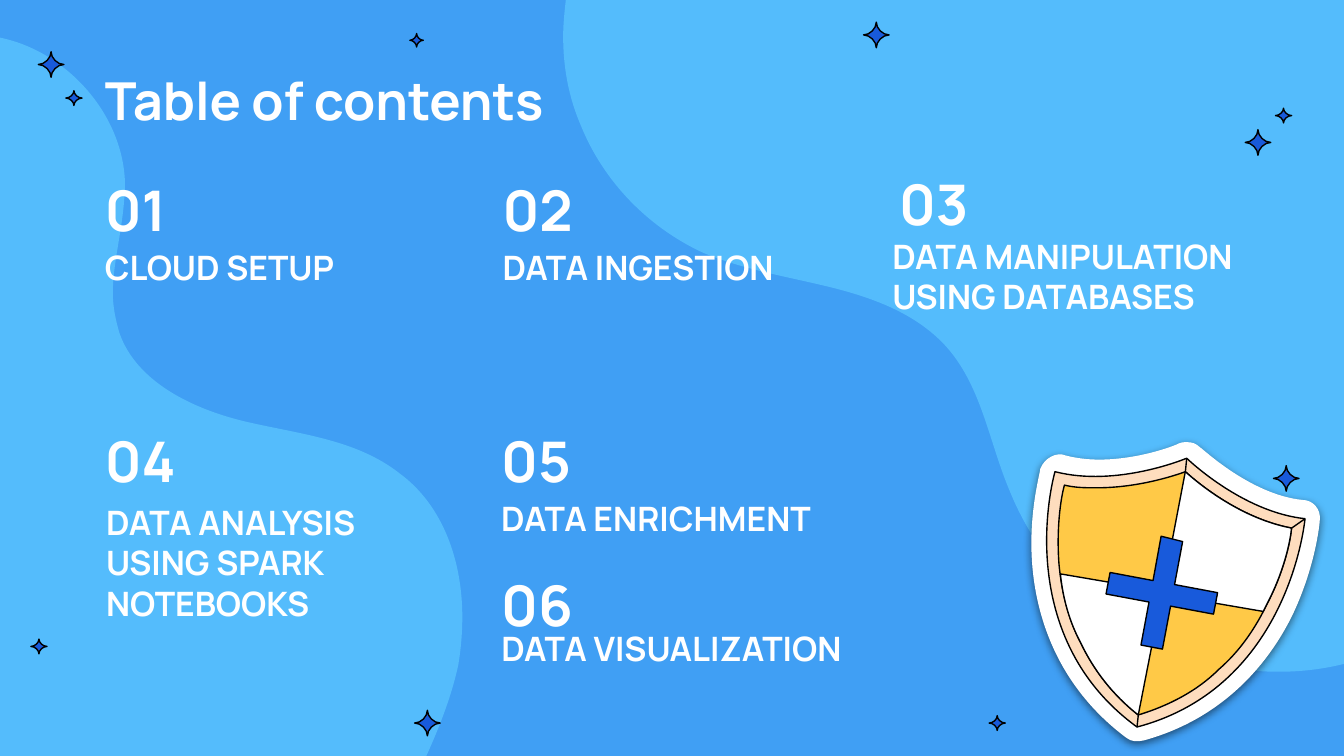
from lxml import etree
from pptx import Presentation
from pptx.dml.color import RGBColor
from pptx.enum.shapes import MSO_CONNECTOR
from pptx.enum.text import MSO_ANCHOR
from pptx.oxml.ns import qn
from pptx.util import Inches, Pt

TOP, MIDDLE = MSO_ANCHOR.TOP, MSO_ANCHOR.MIDDLE
STRAIGHT = MSO_CONNECTOR.STRAIGHT
FONT = "Manrope"
COLORS = {
    "back": "409FF4", "wave": "54BCFC", "blue": "185ADB", "rim": "FEDDBE",
    "gold": "FFC947", "white": "FFFFFF", "black": "000000",
}
RGB = {name: RGBColor.from_string(code) for name, code in COLORS.items()}

prs = Presentation()
prs.slide_width, prs.slide_height = Inches(10), Inches(5.625)
slide = prs.slides.add_slide(prs.slide_layouts[6])
slide.background.fill.solid()
slide.background.fill.fore_color.rgb = RGB["back"]


def add_path(start, parts, fill, edge=True):
    """Draw a closed outline; a part is a line end (2) or a Bezier curve (6)."""
    dots = [(Inches(p[i]), Inches(p[i + 1])) for p in parts for i in range(0, len(p), 2)]
    pen = slide.shapes.build_freeform(Inches(start[0]), Inches(start[1]))
    pen.add_line_segments(dots, close=True)
    shape = pen.convert_to_shape()
    # Join the three points of each curve into one Bezier segment
    lines = iter(list(shape.element.iter(qn("a:lnTo"))))
    for part in parts:
        group = [next(lines) for _ in range(len(part) // 2)]
        if len(group) == 3:
            curve = etree.Element(qn("a:cubicBezTo"))
            group[0].addprevious(curve)
            for line in group:
                curve.append(line[0])
                line.getparent().remove(line)
    shape.shadow.inherit = False
    shape.fill.solid()
    shape.fill.fore_color.rgb = RGB[fill]
    if edge:
        shape.line.color.rgb = RGB["black"]
        shape.line.width = Pt(0.75)
    else:
        shape.line.fill.background()
    return shape


def add_text(text, x, y, w, h, size, anchor=MIDDLE):
    frame = slide.shapes.add_textbox(Inches(x), Inches(y), Inches(w), Inches(h)).text_frame
    frame.margin_left = frame.margin_right = frame.margin_top = frame.margin_bottom = 0
    frame.word_wrap = True
    frame.vertical_anchor = anchor
    frame.text = text
    font = frame.paragraphs[0].runs[0].font
    font.name, font.size, font.bold = FONT, Pt(size), True
    font.color.rgb = RGB["white"]


# Background waves
add_path((10, 4.94), [
    (9.56, 5.05, 9.08, 5, 8.67, 4.83), (8.15, 4.61, 7.73, 4.18, 7.52, 3.67),
    (7.36, 3.3, 7.31, 2.89, 7.05, 2.59), (6.83, 2.34, 6.51, 2.22, 6.19, 2.14),
    (5.87, 2.06, 5.54, 2.01, 5.23, 1.88), (4.82, 1.69, 4.49, 1.35, 4.32, 0.93),
    (4.23, 0.72, 4.19, 0.5, 4.19, 0.27), (4.19, 0.18, 4.2, 0.09, 4.21, 0),
    (10, 0)], "wave", False)
add_path((3.44, 4.59), [
    (3.44, 4.71, 3.43, 4.83, 3.41, 4.95), (3.36, 5.18, 3.27, 5.41, 3.17, 5.63),
    (0, 5.63), (0, 0.28), (0.49, 0.38, 0.91, 0.84, 0.93, 1.35),
    (0.93, 1.66, 0.84, 1.93, 0.84, 2.18),
    (0.84, 2.28, 0.86, 2.38, 0.89, 2.48), (1.02, 2.85, 1.45, 3.05, 1.84, 3.14),
    (2.23, 3.23, 2.65, 3.27, 2.97, 3.52), (3.3, 3.76, 3.44, 4.18, 3.44, 4.59),
], "wave", False)

# Stars: centre and size
BIG, SMALL, TINY = (0.19, 0.19), (0.12, 0.11), (0.1, 0.1)
stars = [
    (7.42, 5.38, SMALL), (0.55, 0.73, SMALL), (0.38, 0.48, BIG),
    (9.36, 1.06, BIG), (9.55, 0.86, SMALL), (9.57, 3.56, BIG),
    (0.29, 4.81, SMALL), (3.1, 0.3, TINY), (6.52, 0.26, BIG), (3.18, 5.38, BIG),
]
for x, y, (w, h) in stars:
    tips = [(x, y - h / 2), (x - w / 2, y), (x, y + h / 2), (x + w / 2, y)]
    arms = []
    for i, (ax, ay) in enumerate(tips):
        bx, by = tips[(i + 1) % 4]
        arms.append(((ax + x) / 2, (ay + y) / 2, (bx + x) / 2, (by + y) / 2, bx, by))
    add_path(tips[0], arms, "blue")

# Title
add_text("Table of contents", 0.78, 0.51, 8.44, 0.5, 28, TOP)

# Topics: number place, then label place and width
topics = [
    ("CLOUD SETUP", 0.78, 1.34, 0.78, 1.79, 2.53),
    ("DATA INGESTION", 3.74, 1.34, 3.74, 1.79, 2.53),
    ("DATA MANIPULATION USING DATABASES", 6.69, 1.3, 6.64, 1.86, 3.03),
    ("DATA ANALYSIS USING SPARK NOTEBOOKS", 0.78, 3.21, 0.79, 3.99, 2.53),
    ("DATA ENRICHMENT", 3.73, 3.21, 3.73, 3.66, 2.53),
    ("DATA VISUALIZATION", 3.73, 4.28, 3.73, 4.63, 2.72),
]
for num, (label, nx, ny, x, y, w) in enumerate(topics, 1):
    add_text(f"{num:02d}", nx, ny, 2.53, 0.43, 30)
    add_text(label, x, y, w, 0.39, 18)

# Shield: white border with a soft shadow
border = add_path((8.83, 3.29), [
    (8.81, 3.29, 8.79, 3.29, 8.77, 3.3), (8.76, 3.31, 8.48, 3.42, 8.18, 3.42),
    (8.09, 3.42, 8.01, 3.41, 7.93, 3.39), (7.86, 3.36, 7.77, 3.41, 7.74, 3.49),
    (7.74, 3.52, 7.65, 3.82, 7.68, 4.2), (7.71, 4.58, 7.86, 5.1, 8.38, 5.49),
    (8.42, 5.52, 8.46, 5.52, 8.51, 5.51), (9.13, 5.34, 9.46, 4.9, 9.62, 4.57),
    (9.79, 4.21, 9.82, 3.89, 9.82, 3.87), (9.83, 3.79, 9.77, 3.72, 9.69, 3.72),
    (9.3, 3.68, 8.94, 3.33, 8.93, 3.33), (8.9, 3.3, 8.87, 3.29, 8.83, 3.29),
], "white", False)
effects = border.element.spPr.find(qn("a:effectLst"))
shade = etree.SubElement(effects, qn("a:outerShdw"), blurRad=str(Pt(4.5)),
                         dist=str(Pt(1.5)), dir="5400000", algn="bl", rotWithShape="0")
tint = etree.SubElement(shade, qn("a:srgbClr"), val=COLORS["black"])
etree.SubElement(tint, qn("a:alpha"), val="50000")

# Shield: rim, gold field and white quarters
add_path((8.83, 3.41), [
    (8.83, 3.41, 8.31, 3.63, 7.85, 3.51), (7.85, 3.51, 7.5, 4.71, 8.46, 5.41),
    (9.6, 5.11, 9.71, 3.86, 9.71, 3.86), (9.24, 3.81, 8.83, 3.41, 8.83, 3.41)], "rim")
add_path((8.82, 3.51), [
    (8.71, 3.55, 8.45, 3.63, 8.16, 3.63), (8.08, 3.63, 8, 3.63, 7.92, 3.61),
    (7.89, 3.72, 7.86, 3.94, 7.88, 4.2), (7.9, 4.41, 7.95, 4.61, 8.04, 4.78),
    (8.14, 4.99, 8.28, 5.17, 8.47, 5.32), (8.7, 5.25, 8.91, 5.14, 9.07, 4.98),
    (9.22, 4.85, 9.34, 4.68, 9.43, 4.49), (9.55, 4.26, 9.6, 4.04, 9.61, 3.93),
    (9.24, 3.86, 8.93, 3.61, 8.82, 3.51)], "gold")
add_path((8.82, 3.51), [
    (8.65, 4.4), (9.05, 4.49), (9.4, 4.55), (9.43, 4.49),
    (9.55, 4.26, 9.6, 4.04, 9.61, 3.93), (9.24, 3.86, 8.93, 3.61, 8.82, 3.51)], "white")
add_path((7.89, 4.27), [
    (7.91, 4.46, 7.96, 4.63, 8.04, 4.78), (8.14, 4.99, 8.28, 5.17, 8.47, 5.32),
    (8.65, 4.4)], "white")

# Shield: blue cross
add_path((8.64, 3.99), [
    (8.58, 4.32), (8.26, 4.26), (8.23, 4.42), (8.55, 4.48), (8.49, 4.8), (8.65, 4.83),
    (8.71, 4.51), (9.03, 4.57), (9.06, 4.41), (8.74, 4.35), (8.8, 4.03)], "blue")

# Shield: seams across the rim
seams = [(9.71, 3.86, 9.61, 3.93), (8.46, 5.41, 8.47, 5.32), (8.83, 3.41, 8.82, 3.51)]
for ends in seams:
    seam = slide.shapes.add_connector(STRAIGHT, *[Inches(n) for n in ends])
    seam.line.color.rgb = RGB["black"]
    seam.line.width = Pt(0.75)
    etree.SubElement(seam.element.spPr, qn("a:effectLst"))

prs.save("out.pptx")
